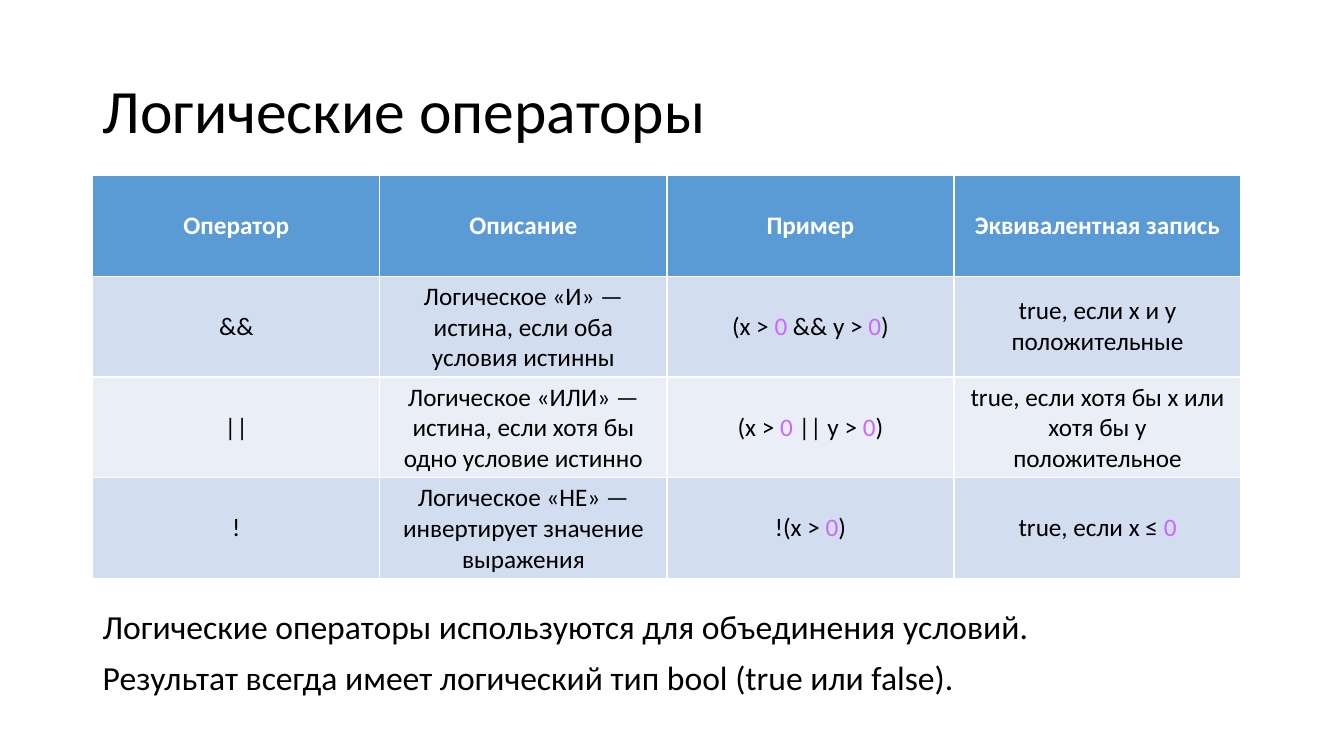
import pptx
import pptx.dml.color
import pptx.enum.text
import pptx.util

Inches = pptx.util.Inches
Pt = pptx.util.Pt
RGBColor = pptx.dml.color.RGBColor
Align = pptx.enum.text.PP_ALIGN
Anchor = pptx.enum.text.MSO_ANCHOR

BLACK = RGBColor(0x00, 0x00, 0x00)
WHITE = RGBColor(0xFF, 0xFF, 0xFF)
HEADER_BLUE = RGBColor(0x5B, 0x9B, 0xD5)
ROW_BLUES = (RGBColor(0xEA, 0xEF, 0xF7), RGBColor(0xD2, 0xDE, 0xEF))
NUMBER_VIOLET = RGBColor(0xCC, 0x66, 0xFF)

TITLE = "Логические операторы"
OPERATORS = [
    ["Оператор", "Описание", "Пример", "Эквивалентная запись"],
    ["&&", "Логическое «И» — истина, если оба условия истинны",
     "(x > 0 && y > 0)", "true, если x и y положительные"],
    ["||", "Логическое «ИЛИ» — истина, если хотя бы одно условие истинно",
     "(x > 0 || y > 0)", "true, если хотя бы x или хотя бы y положительное"],
    ["!", "Логическое «НЕ» — инвертирует значение выражения",
     "!(x > 0)", "true, если x ≤ 0"],
]
SUMMARY = [
    "Логические операторы используются для объединения условий.",
    "Результат всегда имеет логический тип bool (true или false).",
]


def write_text(paragraph, text, *, font="Calibri", size=18, color=BLACK, bold=False,
               align=Align.LEFT, line_spacing=None, space_before=None):
    paragraph.alignment = align
    paragraph.line_spacing = line_spacing
    if space_before is not None:
        paragraph.space_before = Pt(space_before)
    for piece in text.replace("0", "\t0\t").split("\t"):
        if piece:
            run = paragraph.add_run()
            run.text = piece
            run.font.name = font
            run.font.size = Pt(size)
            run.font.bold = bold
            run.font.color.rgb = NUMBER_VIOLET if piece == "0" else color


class SlideBuilder:
    """Hold the text style and the current slide, and add its elements."""

    def __init__(self, presentation, font):
        self.font = font
        self.slide = presentation.slides.add_slide(presentation.slide_layouts[5])

    def place_title(self, text, left, top, width, height):
        shape = self.slide.shapes.title
        shape.left, shape.top = Inches(left), Inches(top)
        shape.width, shape.height = Inches(width), Inches(height)
        shape.text_frame.vertical_anchor = Anchor.MIDDLE
        write_text(shape.text_frame.paragraphs[0], text, font=self.font,
                   size=44, line_spacing=0.9)

    def add_table(self, rows, left, top, width, height):
        shape = self.slide.shapes.add_table(
            len(rows), len(rows[0]),
            Inches(left), Inches(top), Inches(width), Inches(height))
        for row_index, row in enumerate(rows):
            is_header = row_index == 0
            for column_index, text in enumerate(row):
                cell = shape.table.cell(row_index, column_index)
                cell.vertical_anchor = Anchor.MIDDLE
                cell.fill.solid()
                cell.fill.fore_color.rgb = (
                    HEADER_BLUE if is_header else ROW_BLUES[row_index % 2])
                write_text(cell.text_frame.paragraphs[0], text, font=self.font,
                           color=WHITE if is_header else BLACK, bold=is_header,
                           align=Align.CENTER)

    def add_text(self, lines, left, top, width, height):
        shape = self.slide.shapes.add_textbox(
            Inches(left), Inches(top), Inches(width), Inches(height))
        frame = shape.text_frame
        frame.word_wrap = True
        for index, line in enumerate(lines):
            paragraph = frame.add_paragraph() if index else frame.paragraphs[0]
            write_text(paragraph, line, font=self.font, size=24,
                       align=Align.JUSTIFY, line_spacing=0.9, space_before=10)


def main():
    presentation = pptx.Presentation()
    presentation.slide_width = Inches(13.33)
    presentation.slide_height = Inches(7.5)
    builder = SlideBuilder(presentation, "Calibri")
    builder.place_title(TITLE, 0.92, 0.4, 11.5, 1.45)
    builder.add_text(SUMMARY, 0.92, 6.01, 11.72, 1.2)
    builder.add_table(OPERATORS, 0.92, 1.74, 11.39, 4)
    presentation.save("out.pptx")


if __name__ == "__main__":
    main()
